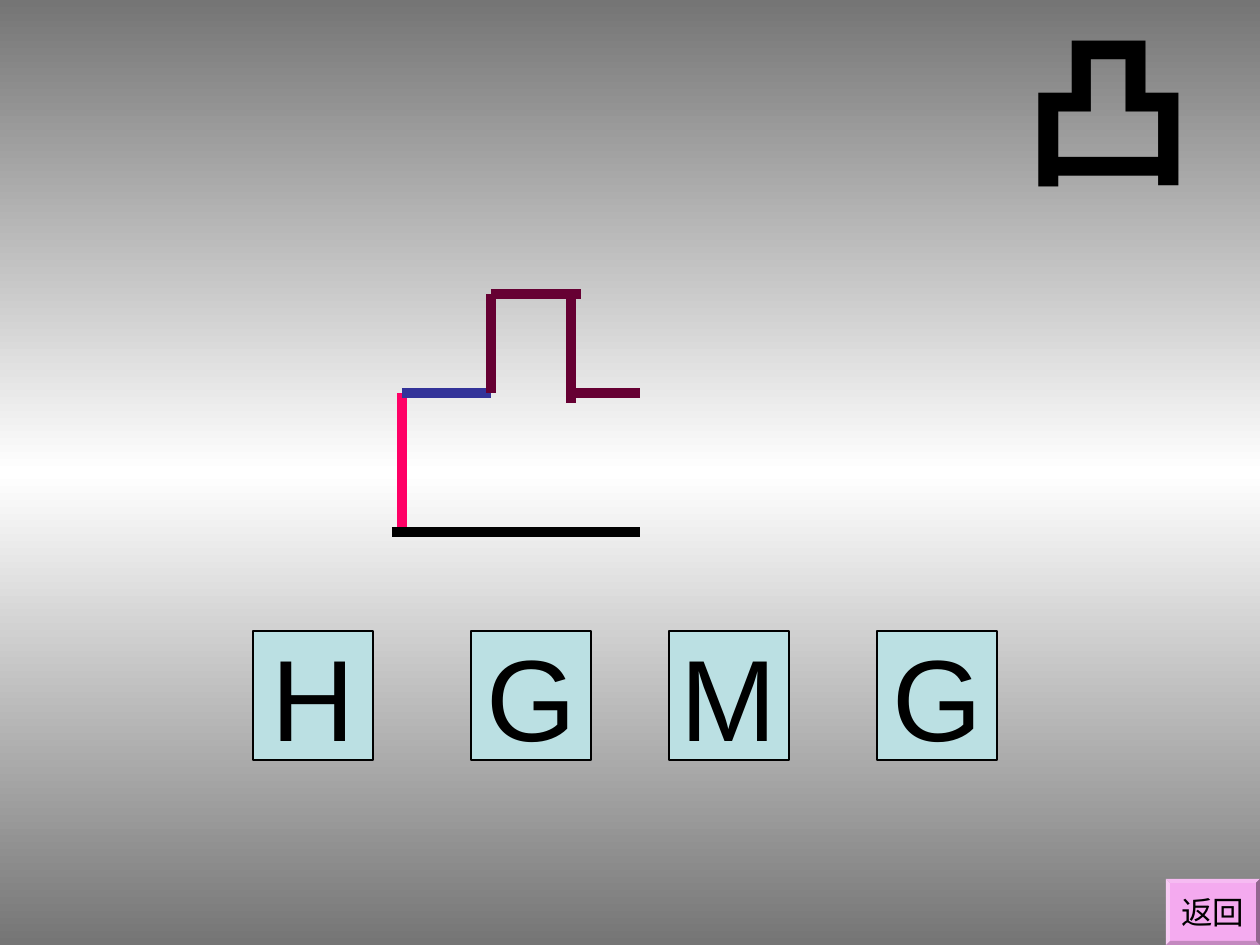
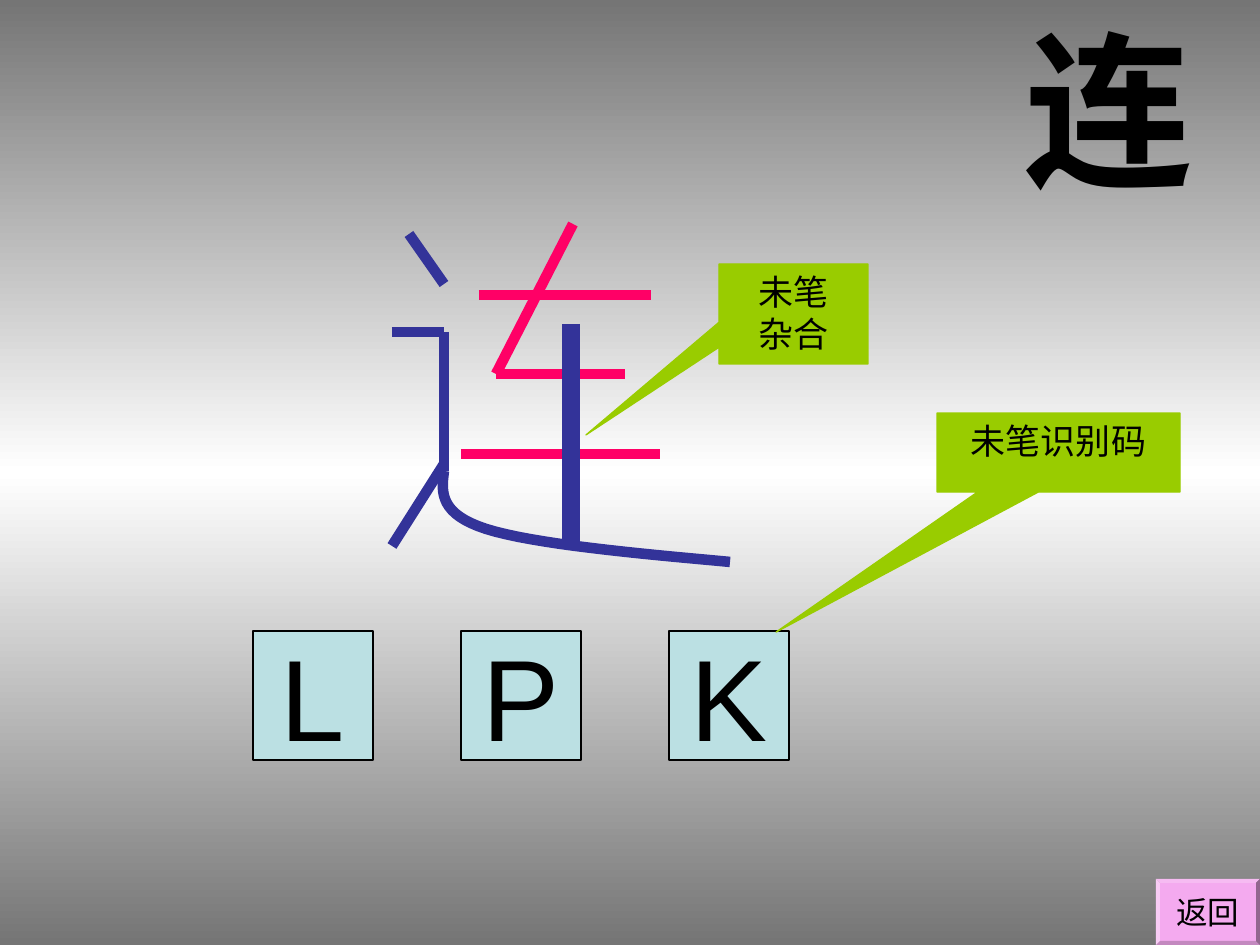
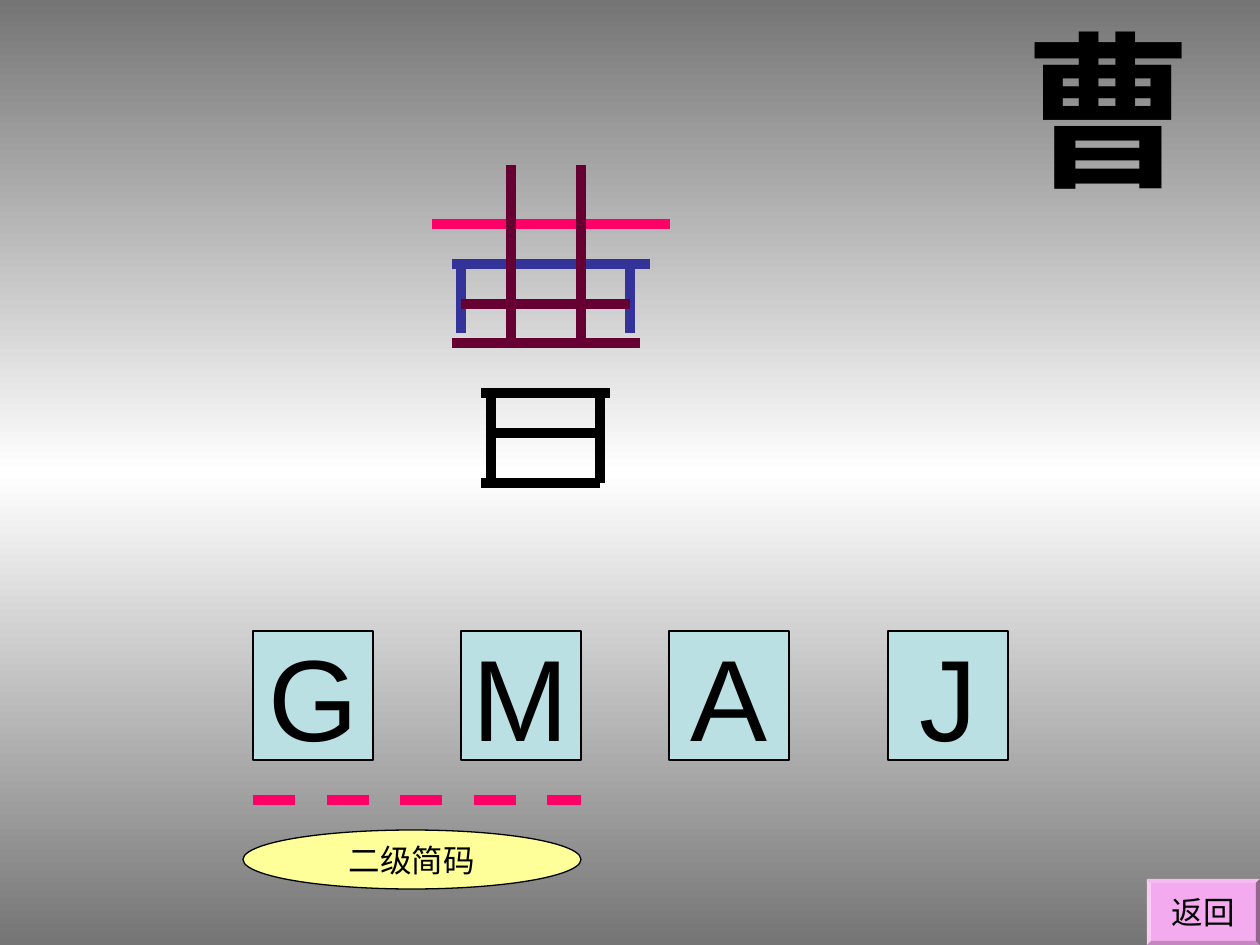
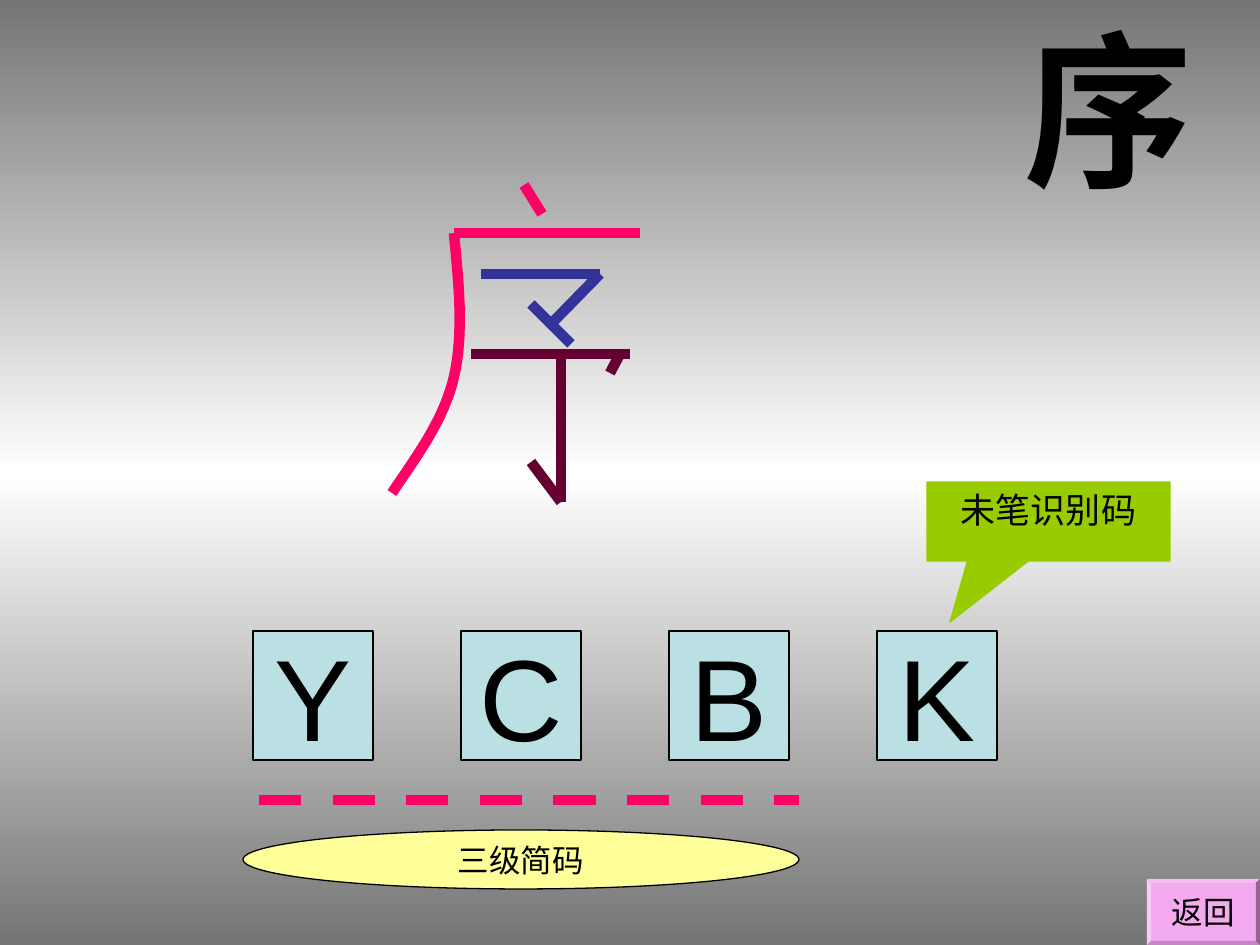
from copy import deepcopy

from lxml.etree import SubElement
from pptx import Presentation
from pptx.dml.color import RGBColor
from pptx.enum.dml import MSO_LINE
from pptx.enum.shapes import MSO_CONNECTOR, MSO_SHAPE
from pptx.enum.text import MSO_ANCHOR, MSO_AUTO_SIZE, PP_ALIGN
from pptx.oxml.ns import qn
from pptx.util import Emu, Pt

PX_PER_INCH = 126
SLIDE_W, SLIDE_H = 1260, 945
FONT = "Arial"

BLACK = RGBColor(0x00, 0x00, 0x00)
WHITE = RGBColor(0xFF, 0xFF, 0xFF)
GREY = RGBColor(0x75, 0x75, 0x75)
PINK = RGBColor(0xFF, 0x00, 0x66)
INDIGO = RGBColor(0x33, 0x33, 0x99)
MAROON = RGBColor(0x66, 0x00, 0x33)
KEY_BLUE = RGBColor(0xBB, 0xE0, 0xE3)
LIME = RGBColor(0x99, 0xCC, 0x00)
PALE_YELLOW = RGBColor(0xFF, 0xFF, 0x99)
BUTTON_PINK = RGBColor(0xF4, 0xAA, 0xEF)

KEY_LEFT, KEY_TOP, KEY_W, KEY_H, KEY_PITCH = 253, 631, 120, 129, 208
BUTTON_TOP = 879
CURVE_STEPS = 16


def px(length):
    return Emu(round(length * 914400 / PX_PER_INCH))


def box(left, top, width, height):
    return px(left), px(top), px(width), px(height)


def write(shape, text, size, wrap=False, anchor=MSO_ANCHOR.MIDDLE,
          align=PP_ALIGN.CENTER, bold=False):
    frame = shape.text_frame
    frame.text = text
    frame.word_wrap = wrap
    frame.vertical_anchor = anchor
    for paragraph in frame.paragraphs:
        paragraph.alignment = align
        for run in paragraph.runs:
            run.font.name = FONT
            run.font.size = Pt(size)
            run.font.bold = bold
            run.font.color.rgb = BLACK


def add_panel(shapes, preset, bounds, fill, outline=None):
    panel = shapes.add_shape(preset, *box(*bounds))
    panel.shadow.inherit = False
    panel.fill.solid()
    panel.fill.fore_color.rgb = fill
    if outline is None:
        panel.line.fill.background()
    else:
        panel.line.color.rgb = outline
        panel.line.width = Pt(0.75)
    return panel


def add_stroke(shapes, color, ends, weight=6):
    stroke = shapes.add_connector(MSO_CONNECTOR.STRAIGHT, *box(*ends))
    stroke.line.color.rgb = color
    stroke.line.width = Pt(weight)
    SubElement(stroke._element.spPr, qn("a:effectLst"))
    return stroke


def bezier_points(controls):
    points = []
    for start in range(0, len(controls) - 1, 3):
        a, b, c, d = controls[start:start + 4]
        for step in range(1, CURVE_STEPS + 1):
            t = step / CURVE_STEPS
            u = 1 - t
            points.append(tuple(
                px(u**3 * a[i] + 3 * u * u * t * b[i] + 3 * u * t * t * c[i] + t**3 * d[i])
                for i in (0, 1)))
    return points


def add_curve(shapes, color, controls):
    builder = shapes.build_freeform(*map(px, controls[0]))
    builder.add_line_segments(bezier_points(controls), close=False)
    curve = builder.convert_to_shape()
    curve.shadow.inherit = False
    curve.fill.background()
    curve.line.color.rgb = color
    curve.line.width = Pt(6)


def add_radical(slide, color, strokes, curve=None):
    shapes = slide.shapes.add_group_shape().shapes
    for ends in strokes:
        add_stroke(shapes, color, ends)
    if curve:
        add_curve(shapes, color, curve)


def paint_background(slide):
    fill = slide.background.fill
    fill.gradient()
    fill.gradient_angle = 270
    stops = slide._element.find(".//" + qn("a:gsLst"))
    stops.append(deepcopy(stops[-1]))
    for stop, position, color in zip(fill.gradient_stops, (0, 0.5, 1), (GREY, WHITE, GREY)):
        stop.position = position
        stop.color.rgb = color


def add_character(slide, character):
    heading = slide.shapes.add_textbox(*box(1012, 0, 248, 214))
    write(heading, character, 96, wrap=True, anchor=MSO_ANCHOR.TOP,
          align=PP_ALIGN.LEFT, bold=True)
    heading.text_frame.auto_size = MSO_AUTO_SIZE.SHAPE_TO_FIT_TEXT


def add_keys(slide, letters, shifted=-1, shift=0):
    for column, letter in enumerate(letters):
        left = KEY_LEFT + column * KEY_PITCH + (shift if column == shifted else 0)
        key = add_panel(slide.shapes, MSO_SHAPE.RECTANGLE,
                        (left, KEY_TOP, KEY_W, KEY_H), KEY_BLUE, BLACK)
        write(key, letter, 66)


def add_return_button(slide, left):
    button = add_panel(slide.shapes, MSO_SHAPE.BEVEL,
                       (left, BUTTON_TOP, SLIDE_W - left, SLIDE_H - BUTTON_TOP), BUTTON_PINK)
    button.adjustments[0] = 0.06
    write(button, "返回", 18)


def add_callout(slide, text, bounds, tip):
    left, top, width, height = bounds
    callout = add_panel(slide.shapes, MSO_SHAPE.RECTANGULAR_CALLOUT, bounds, LIME, LIME)
    callout.adjustments[0] = (tip[0] - left) / width - 0.5
    callout.adjustments[1] = (tip[1] - top) / height - 0.5
    write(callout, text, 20, wrap=True, anchor=MSO_ANCHOR.TOP)


def add_short_code(slide, text, dash_left, right):
    shapes = slide.shapes.add_group_shape().shapes
    underline = add_stroke(shapes, PINK, (dash_left, 800, right, 800))
    underline.line.dash_style = MSO_LINE.DASH
    label = add_panel(shapes, MSO_SHAPE.OVAL, (243, 830, right - 243, 59), PALE_YELLOW, BLACK)
    write(label, text, 18)


def start_slide(prs, character, letters, button_left, **key_shift):
    slide = prs.slides.add_slide(prs.slide_layouts[6])
    paint_background(slide)
    add_character(slide, character)
    add_keys(slide, letters, **key_shift)
    add_return_button(slide, button_left)
    return slide


def build_tu(prs):
    slide = start_slide(prs, "凸", "HGMG", 1166, shifted=1, shift=10)
    add_stroke(slide.shapes, PINK, (402, 393, 402, 532))
    add_stroke(slide.shapes, INDIGO, (402, 393, 491, 393))
    add_radical(slide, MAROON, [
        (491, 294, 491, 393), (491, 294, 581, 294),
        (571, 294, 571, 403), (571, 393, 640, 393)])
    add_stroke(slide.shapes, BLACK, (392, 532, 640, 532))


def build_lian(prs):
    slide = start_slide(prs, "连", "LPK", 1156)
    add_callout(slide, "未笔识别码", (937, 413, 243, 79), (776, 632))
    add_radical(slide, PINK, [
        (479, 295, 651, 295), (573, 224, 496, 374), (496, 374, 625, 374),
        (461, 454, 660, 454), (573, 339, 573, 542)])
    add_radical(slide, INDIGO, [
        (409, 234, 444, 284), (392, 332, 444, 332),
        (444, 332, 444, 471), (444, 464, 392, 546)],
        curve=[(444, 471), (441, 493), (440, 514), (486, 529),
               (534, 544), (631, 553), (730, 562)])
    add_stroke(slide.shapes, INDIGO, (571, 324, 571, 542), weight=10)
    add_callout(slide, "未笔\n杂合", (719, 264, 149, 100), (586, 435))


def build_cao(prs):
    slide = start_slide(prs, "曹", "GMAJ", 1147, shifted=3, shift=11)
    add_short_code(slide, "二级简码", 253, 581)
    add_stroke(slide.shapes, PINK, (432, 224, 670, 224))
    add_radical(slide, INDIGO, [
        (461, 264, 461, 333), (630, 264, 630, 333), (452, 264, 650, 264)])
    add_radical(slide, MAROON, [
        (452, 343, 640, 343), (511, 165, 511, 343),
        (581, 165, 581, 343), (461, 304, 630, 304)])
    add_radical(slide, BLACK, [
        (491, 393, 491, 483), (600, 393, 600, 483), (481, 483, 600, 483),
        (481, 393, 610, 393), (491, 433, 600, 433)])


def build_xu(prs):
    slide = start_slide(prs, "序", "YCBK", 1147)
    add_short_code(slide, "三级简码", 259, 799)
    add_radical(slide, PINK, [(524, 185, 542, 214), (454, 233, 640, 233)],
                curve=[(454, 233), (459, 284), (464, 334), (454, 377),
                       (444, 420), (417, 456), (392, 493)])
    add_radical(slide, INDIGO, [
        (481, 274, 600, 274), (600, 274, 551, 324), (531, 304, 571, 344)])
    add_radical(slide, MAROON, [
        (471, 354, 630, 354), (620, 354, 610, 373),
        (561, 354, 561, 502), (531, 462, 561, 502)])
    add_callout(slide, "未笔识别码", (927, 482, 243, 79), (950, 622))


def main():
    prs = Presentation()
    prs.slide_width, prs.slide_height = px(SLIDE_W), px(SLIDE_H)
    for build in (build_tu, build_lian, build_cao, build_xu):
        build(prs)
    prs.save("out.pptx")


if __name__ == "__main__":
    main()
